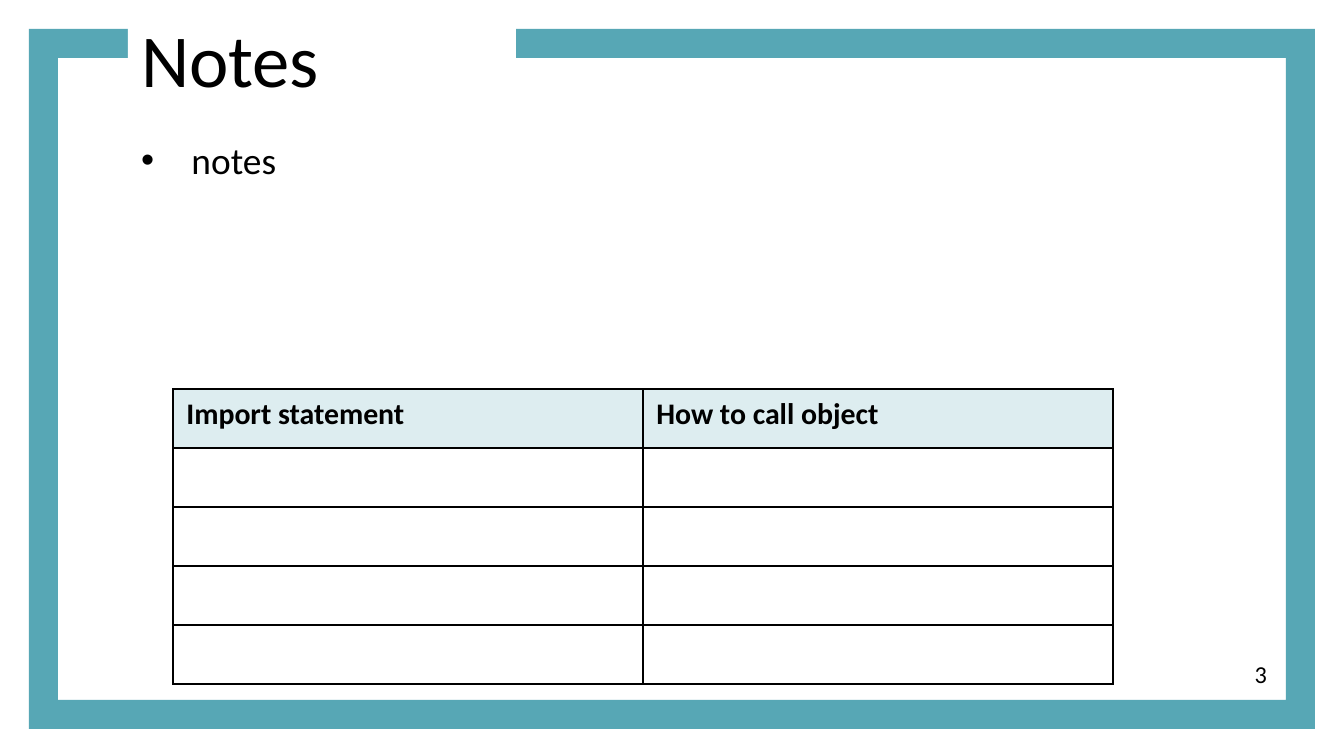
"""Build the Notes slide with a framed border and an empty import table."""
from lxml.etree import SubElement
from pptx import Presentation
from pptx.dml.color import RGBColor as RGB
from pptx.enum.shapes import MSO_SHAPE as SHAPE
from pptx.enum.text import MSO_ANCHOR as ANCHOR, MSO_AUTO_SIZE as AUTO, PP_ALIGN as ALIGN
from pptx.oxml import parse_xml
from pptx.oxml.ns import nsdecls, qn
from pptx.util import Pt

SCALE = 914400 / 134.4
COLORS = {"teal": "57A7B5", "pale": "DDEDF0", "white": "FFFFFF", "black": "000000"}
HEADERS = ["Import statement", "How to call object"]
BLANK_ROWS = 4
COLUMN_WIDTH, ROW_HEIGHT = 470, 59
INSET = 13


def px(*lengths):
    return [round(length * SCALE) for length in lengths]


def write(box, text, size, align=ALIGN.LEFT, anchor=ANCHOR.TOP, wrap=True):
    frame = box.text_frame
    frame.text = text
    frame.word_wrap = wrap
    frame.auto_size = AUTO.NONE
    frame.vertical_anchor = anchor
    frame.margin_left, frame.margin_top, frame.margin_right, frame.margin_bottom = px(*[INSET] * 4)
    para = frame.paragraphs[0]
    para.alignment = align
    para.space_before = Pt(0)
    para.font.size = Pt(size)
    para.font.name = "Calibri"
    para.font.color.rgb = RGB.from_string(COLORS["black"])
    return para


deck = Presentation()
deck.slide_width, deck.slide_height = px(1344, 756)
page = deck.slides.add_slide(deck.slide_layouts[1])
title, body = page.placeholders

border = page.shapes.add_shape(SHAPE.FRAME, *px(29, 29, 1286, 700))
border.adjustments[0] = 29 / 700
border.shadow.inherit = False
border.fill.solid()
border.fill.fore_color.rgb = RGB.from_string(COLORS["teal"])
border.line.fill.background()
title.element.addprevious(border.element)

title.left, title.top, title.width, title.height = px(128, 0, 388, 134)
title.fill.solid()
title.fill.fore_color.rgb = RGB.from_string(COLORS["white"])
write(title, "Notes", 40)

body.left, body.top, body.width, body.height = px(128, 124, 1088, 530)
body_para = body.text_frame.paragraphs[0]
props = body_para._p.get_or_add_pPr()
props.set("marL", str(px(15)[0]))
props.set("indent", "0")
SubElement(props, qn("a:buNone"))
write(body, "notes", 20)

number = page.shapes.add_textbox(*px(1237, 644, 43, 60))
write(number, "3", 13, ALIGN.RIGHT, ANCHOR.MIDDLE, wrap=False)

row_count, column_count = BLANK_ROWS + 1, len(HEADERS)
table = page.shapes.add_table(
    row_count, column_count,
    *px(173, 389, COLUMN_WIDTH * column_count, ROW_HEIGHT * row_count)).table
table.first_row = table.horz_banding = False

for cell in table.iter_cells():
    cell.fill.background()
    cell_props = cell._tc.get_or_add_tcPr()
    for position, side in enumerate(["lnL", "lnR", "lnT", "lnB"]):
        cell_props.insert(position, parse_xml(
            f'<a:{side} {nsdecls("a")} w="{Pt(1)}"><a:solidFill>'
            f'<a:srgbClr val="{COLORS["black"]}"/></a:solidFill></a:{side}>'))

for cell, header in zip(table.rows[0].cells, HEADERS):
    cell.text = header
    cell.fill.solid()
    cell.fill.fore_color.rgb = RGB.from_string(COLORS["pale"])
    font = cell.text_frame.paragraphs[0].font
    font.size = Pt(16)
    font.name = "Calibri"
    font.bold = True
    font.color.rgb = RGB.from_string(COLORS["black"])

deck.save("out.pptx")
